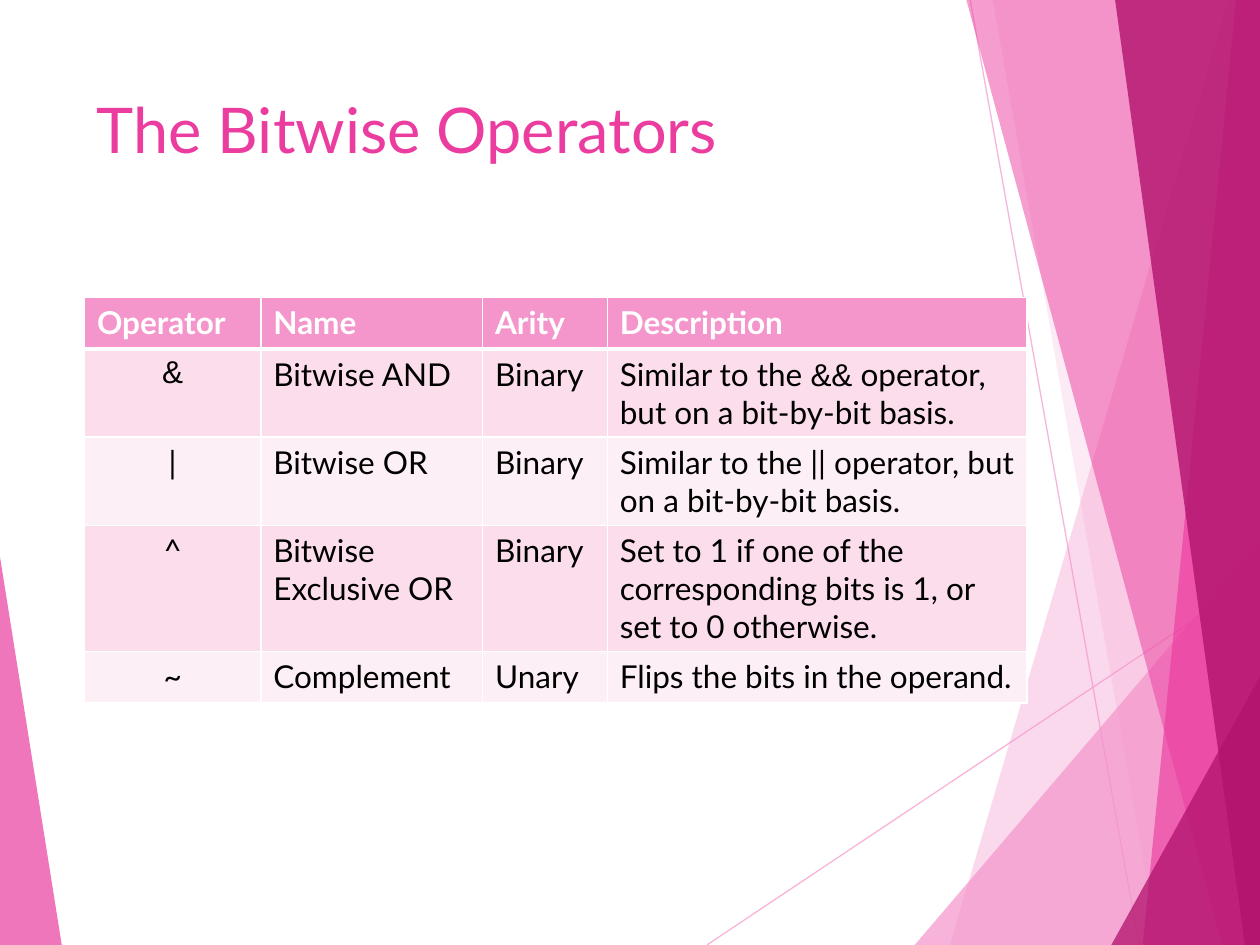
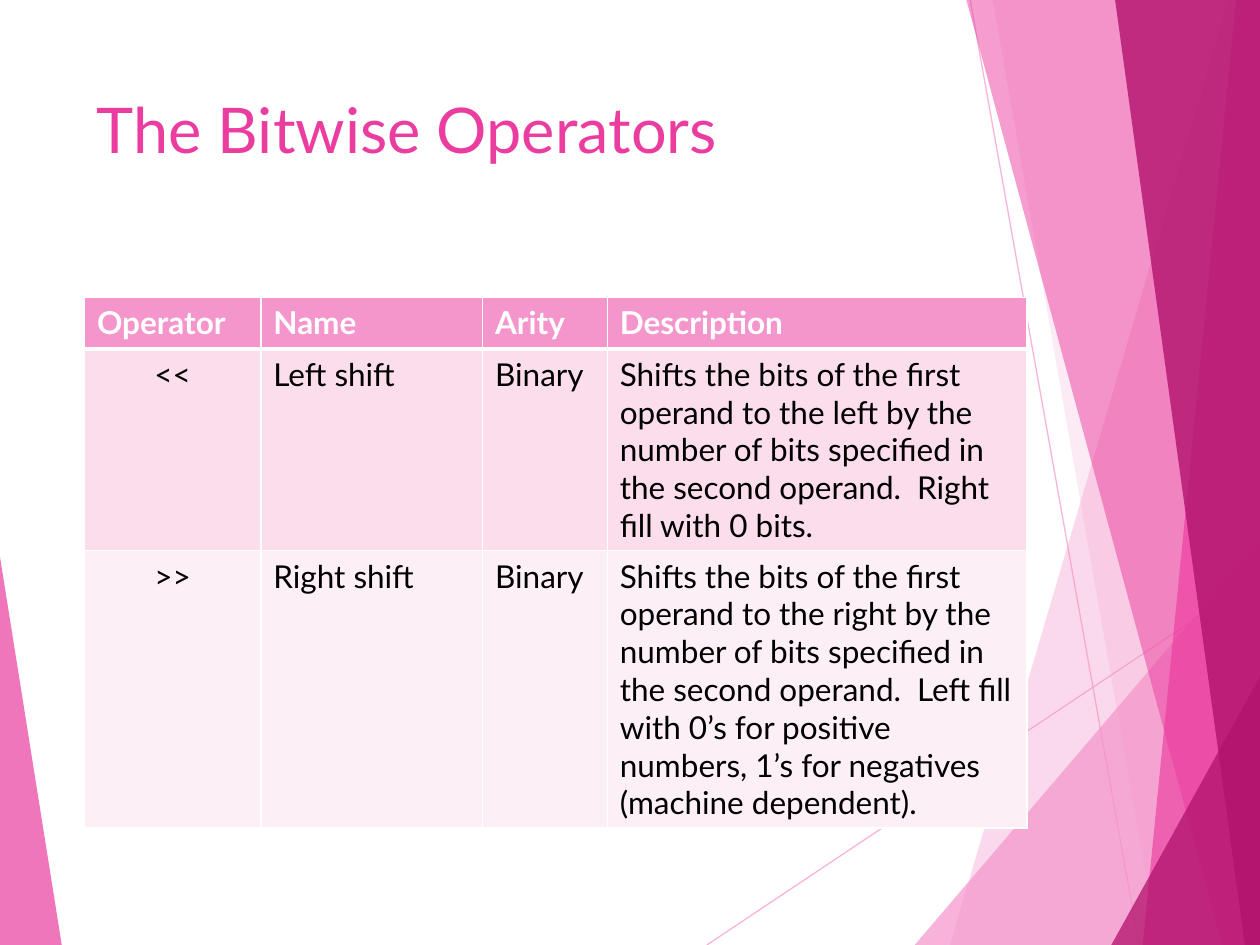
from itertools import groupby

from lxml import etree
from pptx import Presentation
from pptx.dml.color import RGBColor
from pptx.enum.shapes import MSO_CONNECTOR
from pptx.enum.text import MSO_ANCHOR, PP_ALIGN
from pptx.oxml.ns import qn
from pptx.util import Inches, Pt

STRAIGHT = MSO_CONNECTOR.STRAIGHT
TOP = MSO_ANCHOR.TOP
LEFT, CENTER = PP_ALIGN.LEFT, PP_ALIGN.CENTER

COLORS = {name: RGBColor.from_string(value) for name, value in {
    "light": "F496CB",
    "pink": "EB3D9F",
    "dark": "B2136D",
    "odd_row": "FBDDEC",
    "even_row": "FDEFF6",
    "white": "FFFFFF",
    "black": "000000",
}.items()}
FONT = "Lato"
SYMBOL_FONT = "Arial"
TITLE = "The Bitwise Operators"

# Facets of the background, from back to front
RAYS = [((5.61, 7.5), (10, 4.57)), ((7.7, 0), (9.04, 7.5))]
FACETS = [
    ("light", 36, [(9.75, 0), (7.54, 7.5), (10, 7.5), (10, 0)]),
    ("light", 20, [(7.88, 0), (9.19, 7.5), (10, 7.5), (10, 0)]),
    ("light", 72, [(7.26, 7.5), (10, 4.29), (10, 7.5)]),
    ("pink", 50, [(7.67, 0), (9.7, 7.5), (10, 7.5), (10, 0)]),
    ("pink", 66, [(9.81, 0), (9.07, 7.5), (10, 7.5), (10, 0)]),
    ("dark", 80, [(8.85, 0), (9.88, 7.5), (10, 7.5), (10, 0)]),
    ("dark", 76, [(8.82, 7.5), (10, 5.37), (10, 7.5)]),
    ("pink", 70, [(0, 4.42), (0.49, 7.5), (0, 7.5)]),
]

# Tables, one per slide
HEADER = ["Operator", "Name", "Arity", "Description"]
COLUMN_WIDTHS = [1.4, 1.76, 0.99, 3.33]
ROW_HEIGHT = 0.41
TABLES = [
    [
        ["&", "Bitwise AND", "Binary",
         "Similar to the && operator, but on a bit-by-bit basis."],
        ["|", "Bitwise OR", "Binary",
         "Similar to the || operator, but on a bit-by-bit basis."],
        ["^", "Bitwise Exclusive OR", "Binary",
         "Set to 1 if one of the corresponding bits is 1, or set to 0 otherwise."],
        ["~", "Complement", "Unary", "Flips the bits in the operand."],
    ],
    [
        ["<<", "Left shift", "Binary",
         "Shifts the bits of the first operand to the left by the number of bits "
         "specified in the second operand.  Right fill with 0 bits."],
        [">>", "Right shift", "Binary",
         "Shifts the bits of the first operand to the right by the number of bits "
         "specified in the second operand.  Left fill with 0’s for positive "
         "numbers, 1’s for negatives (machine dependent)."],
    ],
]


def set_opacity(shape, percent):
    color = shape.element.spPr.find(".//" + qn("a:srgbClr"))
    etree.SubElement(color, qn("a:alpha")).set("val", str(percent * 1000))


def add_border(cell, side, points):
    line = etree.SubElement(cell._tc.get_or_add_tcPr(), qn("a:" + side))
    line.set("w", str(Pt(points)))
    fill = etree.SubElement(line, qn("a:solidFill"))
    etree.SubElement(fill, qn("a:srgbClr")).set("val", str(COLORS["white"]))


deck = Presentation()
deck.slide_width, deck.slide_height = Inches(10), Inches(7.5)

for table_rows in TABLES:
    page = deck.slides.add_slide(deck.slide_layouts[6])

    # Thin rays
    for start, end in RAYS:
        ray = page.shapes.add_connector(
            STRAIGHT, *[Inches(value) for value in start + end])
        ray.line.color.rgb = COLORS["light"]
        ray.line.width = Pt(0.75)
        set_opacity(ray, 70)
        etree.SubElement(ray.element.spPr, qn("a:effectLst"))

    # Translucent facets
    for color, opacity, corners in FACETS:
        points = [(Inches(x), Inches(y)) for x, y in corners]
        outline = page.shapes.build_freeform(*points[0])
        outline.add_line_segments(points[1:], close=True)
        facet = outline.convert_to_shape()
        facet.shadow.inherit = False
        facet.fill.solid()
        facet.fill.fore_color.rgb = COLORS[color]
        facet.line.fill.background()
        set_opacity(facet, opacity)

    # Title
    box = page.shapes.add_textbox(
        Inches(0.67), Inches(0.67), Inches(6.94), Inches(1.44))
    box.text_frame.word_wrap = True
    box.text_frame.vertical_anchor = TOP
    para = box.text_frame.paragraphs[0]
    para.text = TITLE
    para.font.name = FONT
    para.font.size = Pt(36)
    para.font.color.rgb = COLORS["pink"]

    # Operator table
    rows = [HEADER] + table_rows
    table = page.shapes.add_table(
        len(rows), len(HEADER), Inches(0.67), Inches(2.36),
        Inches(sum(COLUMN_WIDTHS)), Inches(ROW_HEIGHT * len(rows))).table
    for column, width in zip(table.columns, COLUMN_WIDTHS):
        column.width = Inches(width)

    for row_index, row in enumerate(rows):
        is_header = row_index == 0
        if is_header:
            row_color = "light"
        else:
            row_color = "odd_row" if row_index % 2 else "even_row"
        for column_index, text in enumerate(row):
            cell = table.cell(row_index, column_index)
            add_border(cell, "lnL", 1)
            add_border(cell, "lnR", 1)
            add_border(cell, "lnT", 3 if row_index == 1 else 1)
            add_border(cell, "lnB", 3 if is_header else 1)
            cell.fill.solid()
            cell.fill.fore_color.rgb = COLORS[row_color]

            para = cell.text_frame.paragraphs[0]
            is_symbol = column_index == 0 and not is_header
            para.alignment = CENTER if is_symbol else LEFT
            para.font.size = Pt(18)
            para.font.bold = is_header
            # Ampersands have a font of their own
            for is_ampersand, letters in groupby(text, lambda letter: letter == "&"):
                span = para.add_run()
                span.text = "".join(letters)
                span.font.name = SYMBOL_FONT if is_ampersand else FONT
                span.font.color.rgb = COLORS["white" if is_header else "black"]

deck.save("out.pptx")
